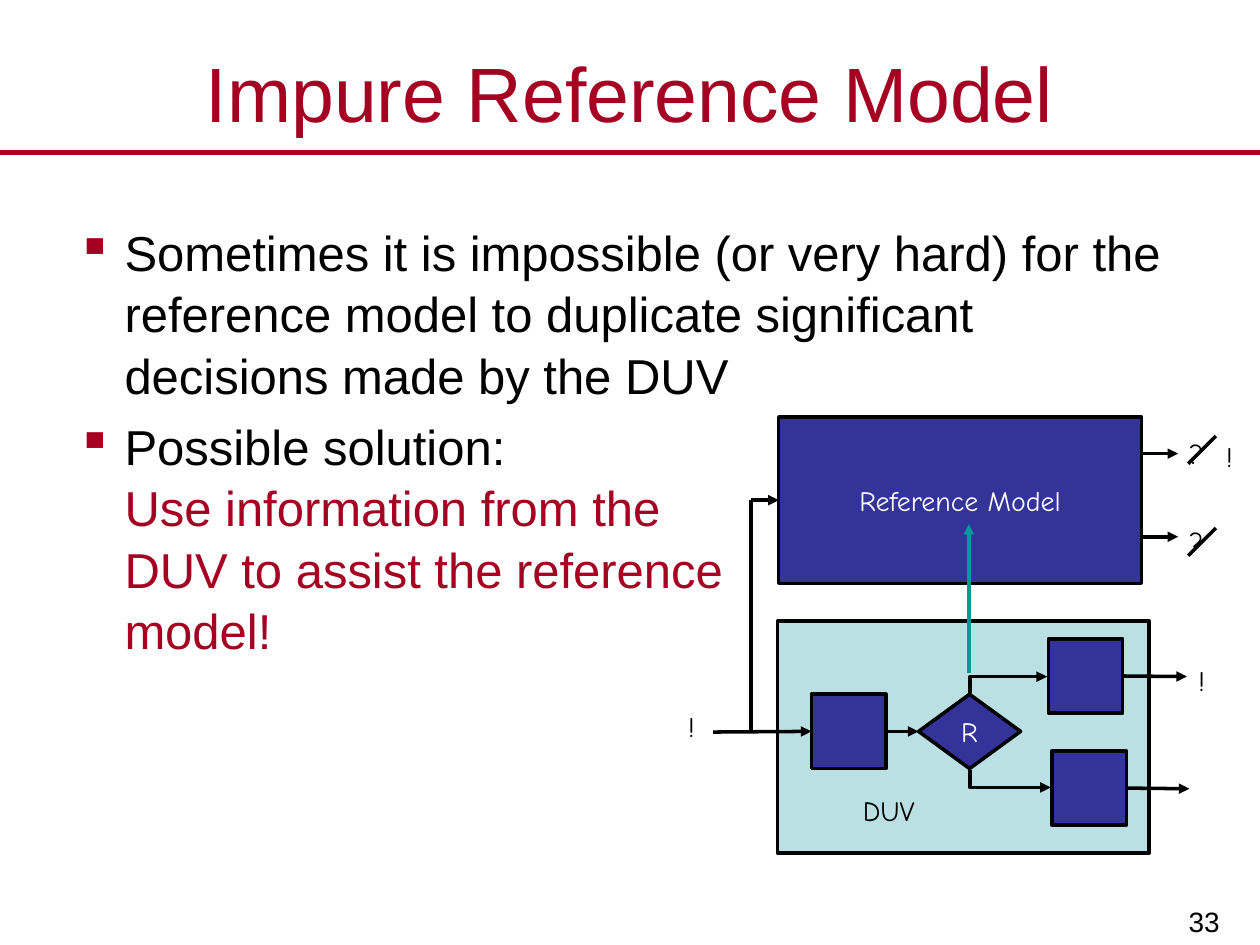
from pptx import Presentation
from pptx.dml.color import RGBColor
from pptx.enum.shapes import MSO_CONNECTOR, MSO_SHAPE
from pptx.enum.text import MSO_ANCHOR, PP_ALIGN
from pptx.oxml.ns import qn
from pptx.util import Inches, Pt
from lxml import etree

STRAIGHT, ELBOW = MSO_CONNECTOR.STRAIGHT, MSO_CONNECTOR.ELBOW
RECT, DIAMOND = MSO_SHAPE.RECTANGLE, MSO_SHAPE.FLOWCHART_DECISION
TOP, MIDDLE, BOTTOM = MSO_ANCHOR.TOP, MSO_ANCHOR.MIDDLE, MSO_ANCHOR.BOTTOM
LEFT, CENTER, RIGHT = PP_ALIGN.LEFT, PP_ALIGN.CENTER, PP_ALIGN.RIGHT
color = RGBColor.from_string
RED, BLACK, WHITE, NAVY, TEAL = "A50021", "000000", "FFFFFF", "333399", "009999"
HAND = "Comic Neue"


def write(shape, text, size, font, ink, align, anchor, pad, wrap):
    frame = shape.text_frame
    frame.word_wrap = wrap
    frame.vertical_anchor = anchor
    frame.margin_left = frame.margin_right = Inches(pad)
    frame.margin_top = frame.margin_bottom = Inches(pad / 2)
    para = frame.paragraphs[0]
    para.text = text
    para.alignment = align
    para.font.size = Pt(size)
    para.font.name = font
    para.font.color.rgb = color(ink)


def link(start, end, ink=BLACK, width=2, arrow=True, kind=STRAIGHT):
    line = slide.shapes.add_connector(kind, *map(Inches, start + end))
    line.line.color.rgb = color(ink)
    line.line.width = Pt(width)
    if arrow:
        etree.SubElement(line.line._get_or_add_ln(), qn("a:tailEnd"), type="triangle")
    etree.SubElement(line._element.spPr, qn("a:effectLst"))
    return line


deck = Presentation()
deck.slide_width, deck.slide_height = Inches(10), Inches(7.5)
slide = deck.slides.add_slide(deck.slide_layouts[6])

link((0, 1.21), (10, 1.21), RED, 3, False)
for text, place, size, ink, align, anchor in [
    ("33", (7.8, 6.93, 1.99, 0.57), 16, BLACK, RIGHT, BOTTOM),
    ("Impure Reference Model", (0, 0.3, 10, 0.86), 44, RED, CENTER, MIDDLE),
]:
    box = slide.shapes.add_textbox(*map(Inches, place))
    write(box, text, size, "Arial", ink, align, anchor, 0.11, True)

body = slide.shapes.add_textbox(Inches(0.51), Inches(1.7), Inches(8.85), Inches(5.14))
write(body, "Sometimes it is impossible (or very hard) for the reference model "
      "to duplicate significant decisions made by the DUV",
      28, "Arial", BLACK, LEFT, TOP, 0.1, True)
second = body.text_frame.add_paragraph()
second.add_run().text = "Possible solution:"
for text in ["Use information from the", "DUV to assist the reference", "model!"]:
    second.add_line_break()
    run = second.add_run()
    run.text = text
    run.font.color.rgb = color(RED)
second.font.size = Pt(28)
second.font.name = "Arial"
for para in body.text_frame.paragraphs:
    para.line_spacing = 1.04
    para.space_before = Pt(6)
    props = para._p.get_or_add_pPr()
    props.set("marL", str(Inches(0.38)))
    props.set("indent", str(-Inches(0.38)))
    tint = etree.Element(qn("a:buClr"))
    etree.SubElement(tint, qn("a:srgbClr"), val=RED)
    mark = etree.Element(qn("a:buChar"), char="▪")
    spot = props.index(props.find(qn("a:spcBef"))) + 1
    props.insert(spot, tint)
    props.insert(spot + 1, mark)

nodes = {}
for name, kind, place, fill, text in [
    ("duv", RECT, (6.17, 4.93, 2.95, 1.84), "BBE0E3", ""),
    ("input", RECT, (6.44, 5.51, 0.59, 0.59), NAVY, ""),
    ("choice", DIAMOND, (7.29, 5.51, 0.81, 0.59), NAVY, "R"),
    ("upper", RECT, (8.32, 5.07, 0.59, 0.59), NAVY, ""),
    ("lower", RECT, (8.35, 5.96, 0.59, 0.59), NAVY, ""),
    ("model", RECT, (6.18, 3.31, 2.88, 1.32), NAVY, "Reference Model"),
]:
    node = slide.shapes.add_shape(kind, *map(Inches, place))
    node.shadow.inherit = False
    node.fill.solid()
    node.fill.fore_color.rgb = color(fill)
    node.line.color.rgb = color(BLACK)
    node.line.width = Pt(2)
    if text:
        write(node, text, 16, HAND, WHITE, CENTER, MIDDLE, 0.09, False)
    nodes[name] = node

for start, end, tail, head in [
    ((5.66, 5.81), (6.44, 5.81), None, "input"),
    ((7.03, 5.81), (7.29, 5.81), "input", "choice"),
    ((8.91, 5.37), (9.42, 5.37), "upper", None),
    ((8.94, 6.26), (9.44, 6.26), "lower", None),
    ((5.96, 3.97), (6.18, 3.97), None, "model"),
    ((9.06, 3.6), (9.35, 3.6), None, None),
    ((9.06, 4.26), (9.35, 4.26), None, None),
]:
    line = link(start, end)
    if tail:
        line.begin_connect(nodes[tail], 3)
    if head:
        line.end_connect(nodes[head], 1)

for start, end in [((7.94, 5.13), (8.07, 5.74)), ((8.09, 5.86), (7.95, 6.5))]:
    bend = link(start, end, kind=ELBOW)
    bend._element.spPr.find(qn("a:prstGeom")).set("prst", "bentConnector2")
    bend._element.spPr.find(qn("a:xfrm")).set("rot", str(270 * 60000))

for text, x, y, w in [
    ("!", 9.42, 5.22, 0.23),
    ("!", 5.37, 5.59, 0.23),
    ("DUV", 6.7, 6.25, 0.65),
    ("?", 9.35, 3.42, 0.29),
    ("?", 9.35, 4.12, 0.29),
    ("!", 9.64, 3.44, 0.23),
]:
    box = slide.shapes.add_textbox(Inches(x), Inches(y), Inches(w), Inches(0.35))
    write(box, text, 16, HAND, BLACK, RIGHT, TOP, 0.09, False)

link((5.96, 3.97), (5.96, 5.81), arrow=False)
link((7.69, 5.34), (7.69, 4.16), TEAL)
for y in (3.68, 4.41):
    link((9.43, y), (9.65, y - 0.22), arrow=False)

deck.save("out.pptx")
